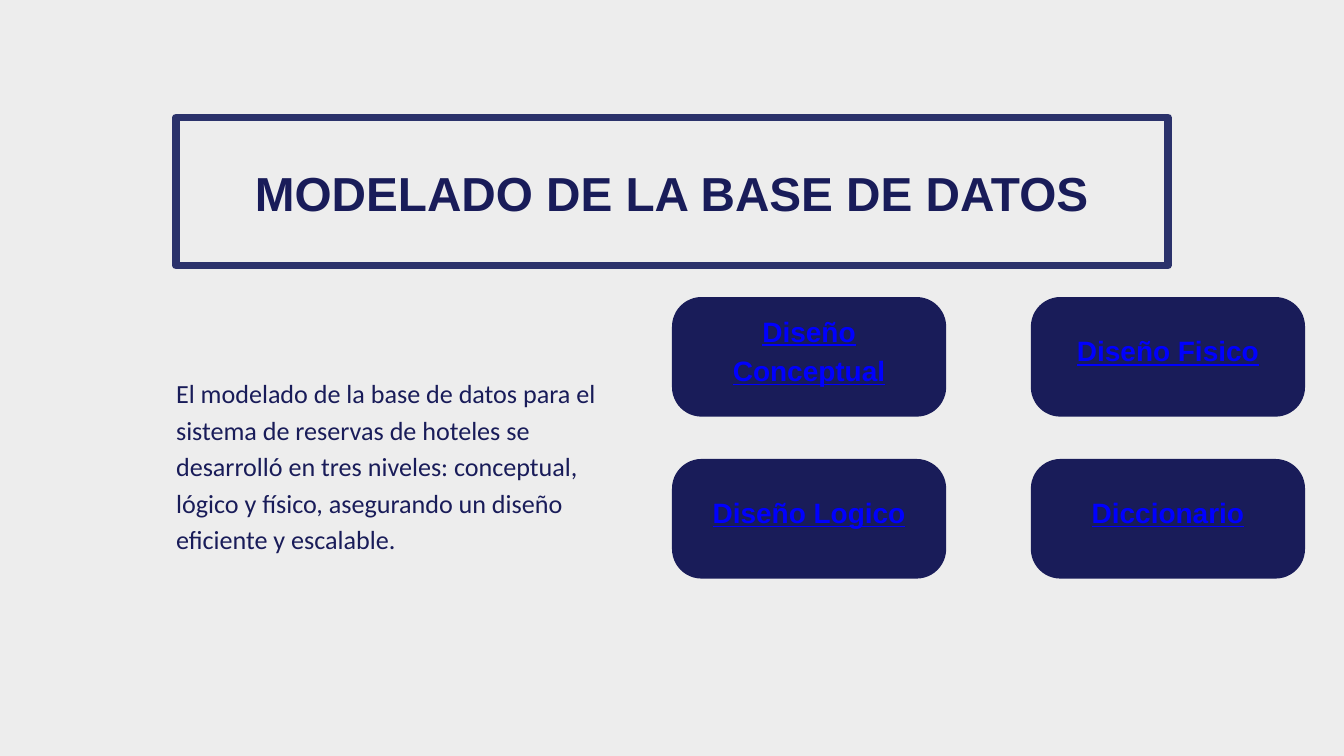
"""Build the database modelling slide with its four design buttons."""
from pptx import Presentation
from pptx.dml.color import RGBColor
from pptx.enum.shapes import MSO_SHAPE as Shape
from pptx.enum.text import MSO_ANCHOR as Anchor, PP_ALIGN as Align
from pptx.util import Inches, Pt

TITLE = "MODELADO DE LA BASE DE DATOS"
SUMMARY = (
    "El modelado de la base de datos para el sistema de reservas de hoteles "
    "se desarrolló en tres niveles: conceptual, lógico y físico, asegurando "
    "un diseño eficiente y escalable."
)
BUTTONS = [
    ["Diseño Conceptual", "Diseño Fisico"],
    ["Diseño Logico", "Diccionario"],
]
COLORS = {"background": "EDEDED", "frame": "2B326B", "navy": "191C59", "link": "0000FF"}

WIDTH, HEIGHT = 20, 11.25
MARGIN = 2.62
GRID_LEFT, GRID_TOP = WIDTH / 2, 4.42
BUTTON_WIDTH, BUTTON_HEIGHT = 4.08, 1.78
COLUMN_STEP, ROW_STEP = 5.34, 2.41
CORNER = 0.44 / BUTTON_HEIGHT
INSET, LABEL_LIFT = 0.06, 0.27


def color(name):
    return RGBColor.from_string(COLORS[name])


def add_box(slide, kind, left, top, width, height):
    shape = slide.shapes.add_shape(kind, *map(Inches, (left, top, width, height)))
    shape.shadow.inherit = False
    return shape


def write(shape, text, size, spacing, font, ink, align=Align.CENTER,
          bold=True, underline=False, insets=(0, 0, 0, 0), anchor=Anchor.TOP):
    frame = shape.text_frame
    frame.text = text
    frame.word_wrap = True
    frame.vertical_anchor = anchor
    (frame.margin_left, frame.margin_top,
     frame.margin_right, frame.margin_bottom) = map(Inches, insets)
    paragraph = frame.paragraphs[0]
    paragraph.alignment = align
    paragraph.line_spacing = Pt(spacing)
    style = paragraph.runs[0].font
    style.name, style.size = font, Pt(size)
    style.bold, style.underline = bold, underline
    style.color.rgb = color(ink)


def add_text(slide, left, top, width, height):
    return slide.shapes.add_textbox(*map(Inches, (left, top, width, height)))


def add_button(slide, label, row, column):
    button = add_box(slide, Shape.ROUNDED_RECTANGLE,
                     GRID_LEFT + column * COLUMN_STEP, GRID_TOP + row * ROW_STEP,
                     BUTTON_WIDTH, BUTTON_HEIGHT)
    button.adjustments[0] = CORNER
    button.fill.solid()
    button.fill.fore_color.rgb = color("navy")
    button.line.fill.background()
    write(button, label, 30, 42, "Arial", "link", underline=True,
          insets=(INSET, INSET, INSET, INSET + LABEL_LIFT), anchor=Anchor.MIDDLE)


def main():
    presentation = Presentation()
    presentation.slide_width, presentation.slide_height = Inches(WIDTH), Inches(HEIGHT)
    slide = presentation.slides.add_slide(presentation.slide_layouts[6])
    slide.background.fill.solid()
    slide.background.fill.fore_color.rgb = color("background")

    frame = add_box(slide, Shape.RECTANGLE, MARGIN, 1.75, WIDTH - 2 * MARGIN, 2.2)
    frame.fill.background()
    frame.line.color.rgb = color("frame")
    frame.line.width = Pt(8.25)

    title = add_text(slide, 3.55, 2.42, WIDTH - 2 * 3.55, 0.86)
    write(title, TITLE, 51.1, 62.9, "Arial", "navy")

    summary = add_text(slide, MARGIN, 5.54, 6.55, 3.26)
    write(summary, SUMMARY, 28, 39.2, "Calibri", "navy", align=Align.LEFT, bold=False)

    for row, labels in enumerate(BUTTONS):
        for column, label in enumerate(labels):
            add_button(slide, label, row, column)

    presentation.save("out.pptx")


if __name__ == "__main__":
    main()
